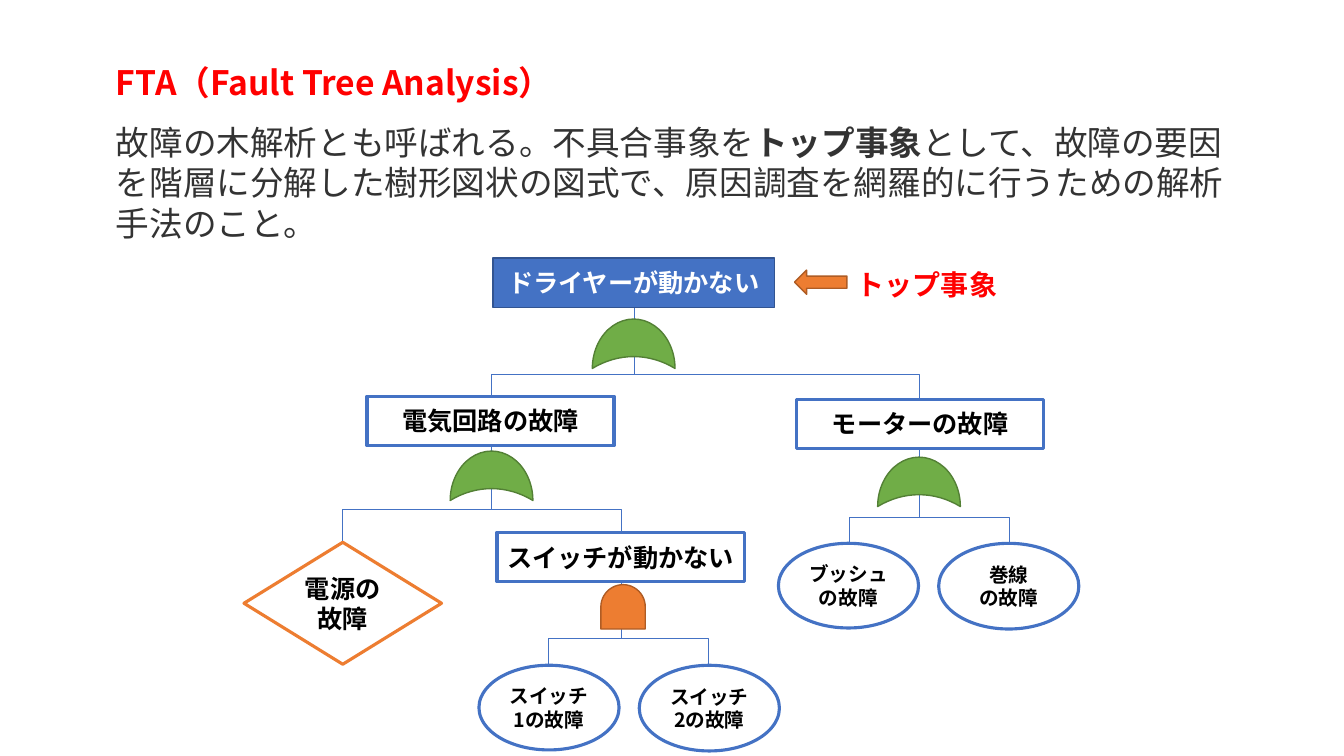
from lxml.etree import SubElement
from pptx import Presentation
from pptx.dml.color import RGBColor
from pptx.enum.shapes import MSO_CONNECTOR, MSO_SHAPE
from pptx.enum.text import MSO_ANCHOR, MSO_AUTO_SIZE, PP_ALIGN
from pptx.oxml.ns import qn
from pptx.util import Inches, Pt

COLORS = {
    "white": "FFFFFF", "black": "000000", "red": "FF0000", "gray": "333333",
    "blue": "4472C4", "navy": "325491", "orange": "ED7D31", "rust": "AF5C24",
    "green": "70AD47", "moss": "538035",
}
NOTO = "Noto Sans CJK JP"
BOX, OVAL = MSO_SHAPE.FLOWCHART_PROCESS, MSO_SHAPE.OVAL
RHOMB = MSO_SHAPE.FLOWCHART_DECISION

NODES = [
    (BOX, 4.89, 2.56, 2.79, 0.49, "ドライヤーが動かない", 18, "blue", "navy", 1),
    (BOX, 3.64, 3.93, 2.45, 0.49, "電気回路の故障", 18, "white", "blue", 2.25),
    (BOX, 7.9, 3.96, 2.45, 0.49, "モーターの故障", 18, "white", "blue", 2.25),
    (BOX, 4.93, 5.28, 2.45, 0.49, "スイッチが動かない", 18, "white", "blue", 2.25),
    (RHOMB, 2.42, 5.38, 1.96, 1.21, "電源の故障", 18, "white", "orange", 2.25),
    (OVAL, 4.75, 6.6, 1.39, 0.84, "スイッチ1の故障", 14, "white", "blue", 2.25),
    (OVAL, 6.34, 6.6, 1.39, 0.85, "スイッチ2の故障", 14, "white", "blue", 2.25),
    (OVAL, 7.72, 5.39, 1.39, 0.84, "ブッシュの故障", 14, "white", "blue", 2.25),
    (OVAL, 9.31, 5.39, 1.39, 0.85, "巻線\nの故障", 14, "white", "blue", 2.25),
]

BRANCHES = [
    (6.29, 3.05, 3.71, [(4.87, 3.93), (9.12, 3.96)]),
    (4.87, 4.42, 5.05, [(3.4, 5.38), (6.16, 5.28)]),
    (6.16, 5.76, 6.33, [(5.44, 6.6), (7.03, 6.6)]),
    (9.12, 4.45, 5.13, [(8.42, 5.39), (10.01, 5.39)]),
]

OR_GATES = [(6.04, 3), (4.63, 4.31), (8.87, 4.37)]


def rgb(name):
    """Return the named colour."""
    return RGBColor.from_string(COLORS[name])


def style(run, size, color, face, bold=True):
    """Format one run, for Latin and Japanese letters alike."""
    font = run.font
    font.size, font.bold, font.name = Pt(size), bold, face
    font.color.rgb = rgb(color)
    SubElement(run._r.get_or_add_rPr(), qn("a:ea")).set("typeface", face)


def place(shape, left, top, width, height):
    """Move and size a shape."""
    shape.left, shape.top = Inches(left), Inches(top)
    shape.width, shape.height = Inches(width), Inches(height)


def add_title(slide, text):
    """Fill and format the title placeholder."""
    title = slide.shapes.title
    place(title, 1.05, 0.56, 11.49, 0.58)
    frame = title.text_frame
    frame.text = text
    frame.word_wrap, frame.auto_size = True, MSO_AUTO_SIZE.NONE
    frame.vertical_anchor = MSO_ANCHOR.TOP
    frame.paragraphs[0].alignment = PP_ALIGN.LEFT
    style(frame.paragraphs[0].runs[0], 24, "red", NOTO)


def add_text(slide, left, top, width, height, parts, size, color):
    """Add a text box of (text, bold) parts."""
    box = slide.shapes.add_textbox(
        Inches(left), Inches(top), Inches(width), Inches(height))
    box.text_frame.word_wrap = True
    for text, bold in parts:
        run = box.text_frame.paragraphs[0].add_run()
        run.text = text
        style(run, size, color, "Arial", bold)


def add_shape(slide, kind, left, top, width, height, fill, line, weight=1, turn=0):
    """Add a filled and outlined preset shape."""
    shape = slide.shapes.add_shape(
        kind, Inches(left), Inches(top), Inches(width), Inches(height))
    shape.shadow.inherit = False
    shape.fill.solid()
    shape.fill.fore_color.rgb = rgb(fill)
    shape.line.color.rgb = rgb(line)
    shape.line.width = Pt(weight)
    shape.rotation = turn
    return shape


def add_node(slide, kind, left, top, width, height, text, size, fill, line, weight):
    """Add an event of the tree with its label."""
    node = add_shape(slide, kind, left, top, width, height, fill, line, weight)
    frame = node.text_frame
    frame.text = text
    frame.word_wrap = True
    frame.vertical_anchor = MSO_ANCHOR.MIDDLE
    frame.margin_left = frame.margin_right = Inches(0.08)
    for para in frame.paragraphs:
        para.alignment = PP_ALIGN.CENTER
        style(para.runs[0], size, "white" if fill == "blue" else "black", NOTO)


def add_branch(slide, x, y, bend, end):
    """Add an elbow that runs down, sideways at the bend, and down."""
    right, drop = end[0] > x, end[1] - y
    mid_x, mid_y = (x + end[0]) / 2, (y + end[1]) / 2
    half, side = drop / 2, abs(end[0] - x) / 2
    if right:
        half = -half
    link = slide.shapes.add_connector(
        MSO_CONNECTOR.ELBOW, Inches(mid_x - half), Inches(mid_y - side),
        Inches(mid_x + half), Inches(mid_y + side))
    link.line.color.rgb = rgb("blue")
    link.line.width = Pt(0.5)
    props = link._element.spPr
    SubElement(props, qn("a:effectLst"))
    props.find(qn("a:xfrm")).set("rot", str((270 if right else 90) * 60000))
    guide = SubElement(props.find(qn("a:prstGeom")).find(qn("a:avLst")), qn("a:gd"))
    guide.set("name", "adj1")
    guide.set("fmla", f"val {round((bend - y) / drop * 100000)}")


def main():
    """Build the fault tree slide."""
    deck = Presentation()
    deck.slide_width, deck.slide_height = Inches(13.33), Inches(7.5)
    slide = deck.slides.add_slide(deck.slide_layouts[5])
    add_title(slide, "FTA（Fault Tree Analysis）")
    add_text(slide, 1.05, 1.16, 11.49, 1.32, [
        ("故障の木解析とも呼ばれる。不具合事象を", False),
        ("トップ事象", True),
        ("として、故障の要因を階層に分解した樹形図状の図式で、"
         "原因調査を網羅的に行うための解析手法のこと。", False),
    ], 24, "gray")
    for x, y, bend, ends in BRANCHES:
        for end in ends:
            add_branch(slide, x, y, bend, end)
    for node in NODES:
        add_node(slide, *node)
    for left, top in OR_GATES:
        gate = add_shape(slide, MSO_SHAPE.MOON, left, top, 0.49, 0.82,
                         "green", "moss", turn=90)
        gate.adjustments[0] = 0.76
    add_shape(slide, MSO_SHAPE.FLOWCHART_DELAY, 5.96, 5.8, 0.44, 0.44,
              "orange", "rust", turn=270)
    add_shape(slide, MSO_SHAPE.LEFT_ARROW, 7.88, 2.68, 0.52, 0.24, "orange", "rust")
    add_text(slide, 8.4, 2.6, 1.73, 0.44, [("トップ事象", True)], 20, "red")
    deck.save("out.pptx")


if __name__ == "__main__":
    main()
